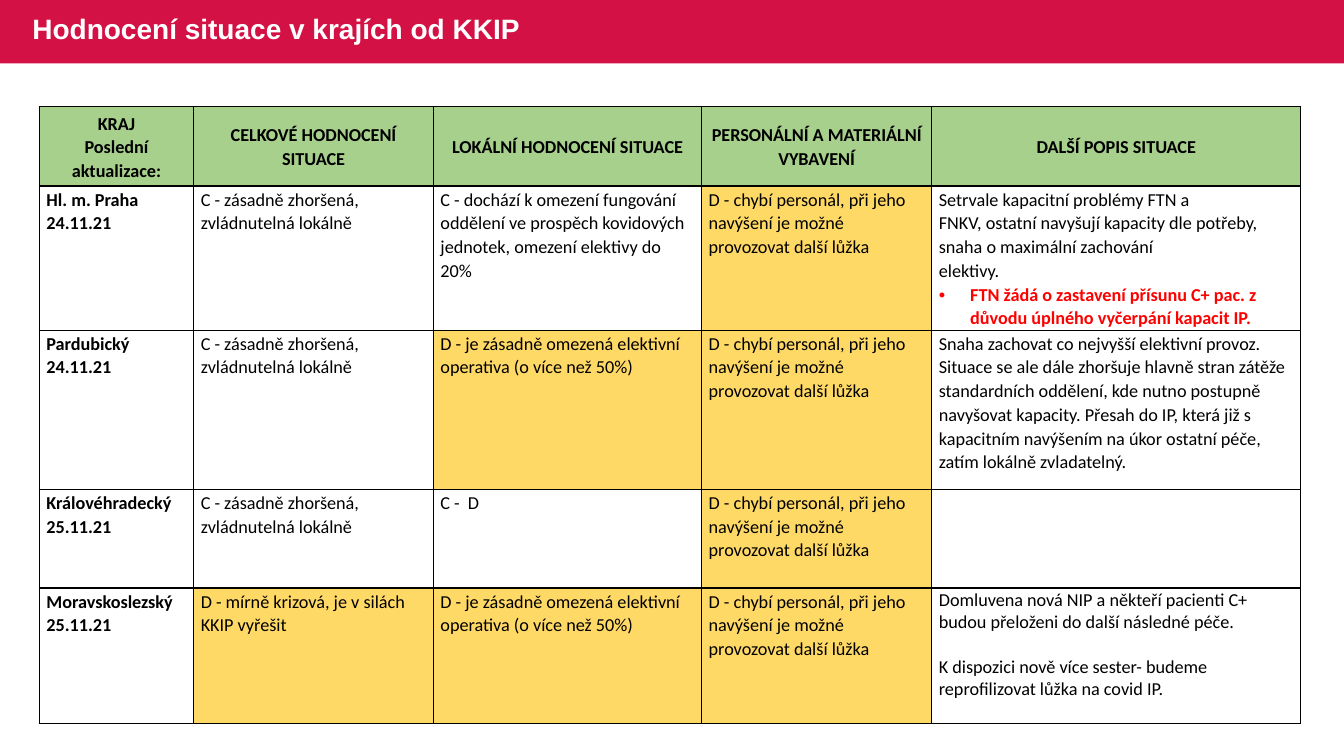
from dataclasses import dataclass

from lxml.etree import SubElement
from pptx import Presentation
from pptx.dml.color import RGBColor
from pptx.enum.shapes import MSO_SHAPE
from pptx.enum.text import MSO_ANCHOR, MSO_AUTO_SIZE, PP_ALIGN
from pptx.oxml import parse_xml
from pptx.oxml.ns import nsdecls, qn
from pptx.slide import Slide
from pptx.table import _Cell as Cell
from pptx.util import Cm, Pt


@dataclass(frozen=True)
class Theme:
    band: RGBColor = RGBColor(0xD3, 0x11, 0x45)
    header: RGBColor = RGBColor(0xA8, 0xD0, 0x8D)
    amber: RGBColor = RGBColor(0xFF, 0xD9, 0x66)
    white: RGBColor = RGBColor(0xFF, 0xFF, 0xFF)
    black: RGBColor = RGBColor(0, 0, 0)
    red: RGBColor = RGBColor(0xFF, 0, 0)
    title_font: str = "Arial"
    table_font: str = "Calibri"
    title_size: Pt = Pt(20)
    table_size: Pt = Pt(13)


THEME = Theme()


@dataclass(frozen=True)
class Para:
    text: str
    bold: bool = False
    color: RGBColor = THEME.black
    bullet: bool = False
    spacing: float = 1.07
    before: Pt = Pt(0)


@dataclass(frozen=True)
class Entry:
    paras: tuple[Para, ...] = ()
    fill: RGBColor | None = None
    header: bool = False


def head(*lines: str) -> Entry:
    return Entry(tuple(Para(t, bold=True) for t in lines), THEME.header, True)


def region(name: str, date: str) -> Entry:
    return Entry((Para(name, bold=True), Para(date, bold=True)))


def rating(text: str) -> Entry:
    """Rating cell, amber when the grade is D."""
    return Entry((Para(text),), THEME.amber if text.startswith("D") else None)


WORSENED = rating("C - zásadně zhoršená, zvládnutelná lokálně")
LIMITED = rating("D - je zásadně omezená elektivní operativa (o více než 50%)")
UNDERSTAFFED = rating("D - chybí personál, při jeho navýšení je možné provozovat další lůžka")

TITLE = "Hodnocení situace v krajích od KKIP"
COL_WIDTHS = [3.89, 6.04, 6.76, 5.8, 9.3]
ROW_HEIGHTS = [2.01, 3.63, 4.01, 2.49, 3.42]
ROWS: list[list[Entry]] = [
    [
        head("KRAJ", "Poslední aktualizace:"),
        head("CELKOVÉ HODNOCENÍ SITUACE"),
        head("LOKÁLNÍ HODNOCENÍ SITUACE"),
        head("PERSONÁLNÍ A MATERIÁLNÍ VYBAVENÍ"),
        head("DALŠÍ POPIS SITUACE"),
    ],
    [
        region("Hl. m. Praha", "24.11.21"),
        WORSENED,
        rating("C - dochází k omezení fungování oddělení ve prospěch kovidových "
               "jednotek, omezení elektivy do 20%"),
        UNDERSTAFFED,
        Entry((
            Para("Setrvale kapacitní problémy FTN a\vFNKV, ostatní navyšují kapacity "
                 "dle potřeby, snaha o maximální zachování\velektivy."),
            Para("FTN žádá o zastavení přísunu C+ pac. z důvodu úplného vyčerpání "
                 "kapacit IP.", bold=True, color=THEME.red, bullet=True),
        )),
    ],
    [
        region("Pardubický", "24.11.21"),
        WORSENED,
        LIMITED,
        UNDERSTAFFED,
        Entry((
            Para("Snaha zachovat co nejvyšší elektivní provoz. Situace se ale dále "
                 "zhoršuje hlavně stran zátěže standardních oddělení, kde nutno postupně "
                 "navyšovat kapacity. Přesah do IP, která již s kapacitním navýšením na "
                 "úkor ostatní péče, zatím lokálně zvladatelný."),
        )),
    ],
    [
        region("Královéhradecký", "25.11.21"),
        WORSENED,
        rating("C -  D"),
        UNDERSTAFFED,
        Entry(),
    ],
    [
        region("Moravskoslezský", "25.11.21"),
        rating("D - mírně krizová, je v silách KKIP vyřešit"),
        LIMITED,
        UNDERSTAFFED,
        Entry((
            Para("Domluvena nová NIP a někteří pacienti C+ budou přeloženi do další "
                 "následné péče.", spacing=1.0),
            Para("K dispozici nově více sester- budeme reprofilizovat lůžka na covid IP.",
                 spacing=1.0, before=Pt(16)),
        )),
    ],
]


def add_title(s: Slide, width: int) -> None:
    band = s.shapes.add_shape(MSO_SHAPE.RECTANGLE, 0, 0, width, Cm(1.6))
    band.shadow.inherit = False
    band.fill.solid()
    band.fill.fore_color.rgb = THEME.band
    band.line.fill.background()

    title = s.shapes.title
    band._element.addnext(title._element)
    title.left, title.top, title.width, title.height = Cm(0.56), Cm(-0.03), Cm(20.68), Cm(1.6)
    tf = title.text_frame
    tf.text = TITLE
    tf.auto_size = MSO_AUTO_SIZE.NONE
    tf.vertical_anchor = MSO_ANCHOR.MIDDLE
    p = tf.paragraphs[0]
    p.alignment = PP_ALIGN.LEFT
    p.line_spacing = 0.9
    font = p.runs[0].font
    font.name, font.size, font.bold = THEME.title_font, THEME.title_size, True
    font.color.rgb = THEME.white


def add_borders(cell: Cell) -> None:
    tc_pr = cell._tc.get_or_add_tcPr()
    for i, side in enumerate(("lnL", "lnR", "lnT", "lnB")):
        tc_pr.insert(i, parse_xml(
            f'<a:{side} {nsdecls("a")} w="{Pt(1)}"><a:solidFill>'
            f'<a:srgbClr val="{THEME.black}"/></a:solidFill></a:{side}>'))


def fill_cell(cell: Cell, entry: Entry) -> None:
    cell.margin_left = cell.margin_right = Cm(0.18)
    cell.margin_top, cell.margin_bottom = Cm(0.03), 0
    cell.vertical_anchor = MSO_ANCHOR.MIDDLE if entry.header else MSO_ANCHOR.TOP
    if entry.fill is None:
        cell.fill.background()
    else:
        cell.fill.solid()
        cell.fill.fore_color.rgb = entry.fill
    add_borders(cell)

    tf = cell.text_frame
    for i, para in enumerate(entry.paras):
        p = tf.add_paragraph() if i else tf.paragraphs[0]
        p.text = para.text
        if para.bullet:
            p_pr = p._p.get_or_add_pPr()
            p_pr.set("marL", str(Cm(0.79)))
            p_pr.set("indent", str(-Cm(0.79)))
            SubElement(p_pr, qn("a:buFont"), typeface="Arial")
            SubElement(p_pr, qn("a:buChar"), char="•")
        p.alignment = PP_ALIGN.CENTER if entry.header else PP_ALIGN.LEFT
        p.line_spacing = para.spacing
        if para.before:
            p.space_before = para.before
        for r in p.runs:
            r.font.name, r.font.size = THEME.table_font, THEME.table_size
            r.font.bold = para.bold
            r.font.color.rgb = para.color


def add_region_table(s: Slide) -> None:
    table = s.shapes.add_table(len(ROWS), len(COL_WIDTHS), Cm(0.99), Cm(2.68),
                               Cm(sum(COL_WIDTHS)), Cm(sum(ROW_HEIGHTS))).table
    table.first_row = table.horz_banding = False
    for column, width in zip(table.columns, COL_WIDTHS):
        column.width = Cm(width)
    for row, height, entries in zip(table.rows, ROW_HEIGHTS, ROWS):
        row.height = Cm(height)
        for cell, entry in zip(row.cells, entries):
            fill_cell(cell, entry)


def main() -> None:
    prs = Presentation()
    prs.slide_width, prs.slide_height = Cm(33.87), Cm(19.05)
    s = prs.slides.add_slide(prs.slide_layouts[5])
    add_title(s, prs.slide_width)
    add_region_table(s)
    prs.save("out.pptx")


if __name__ == "__main__":
    main()
